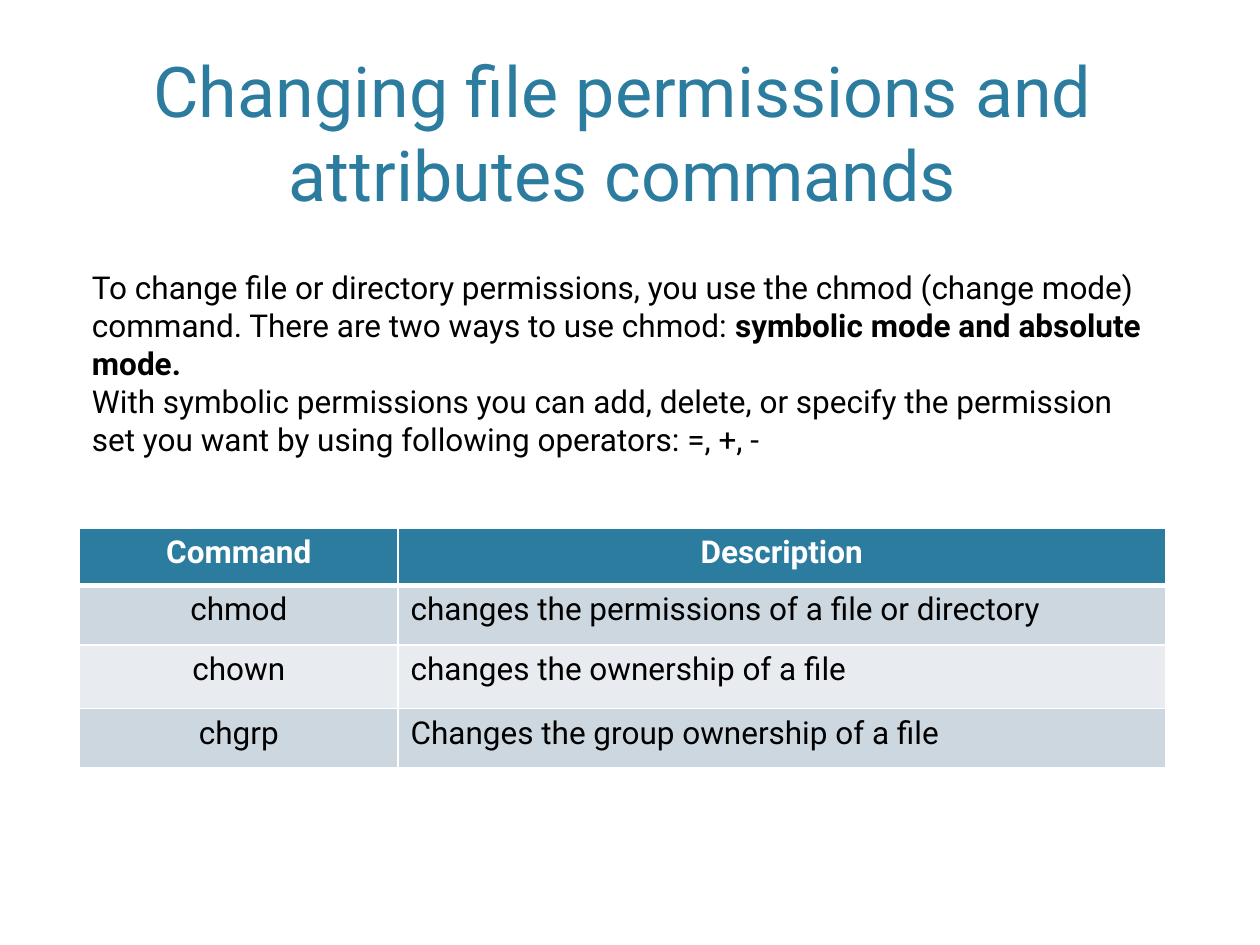
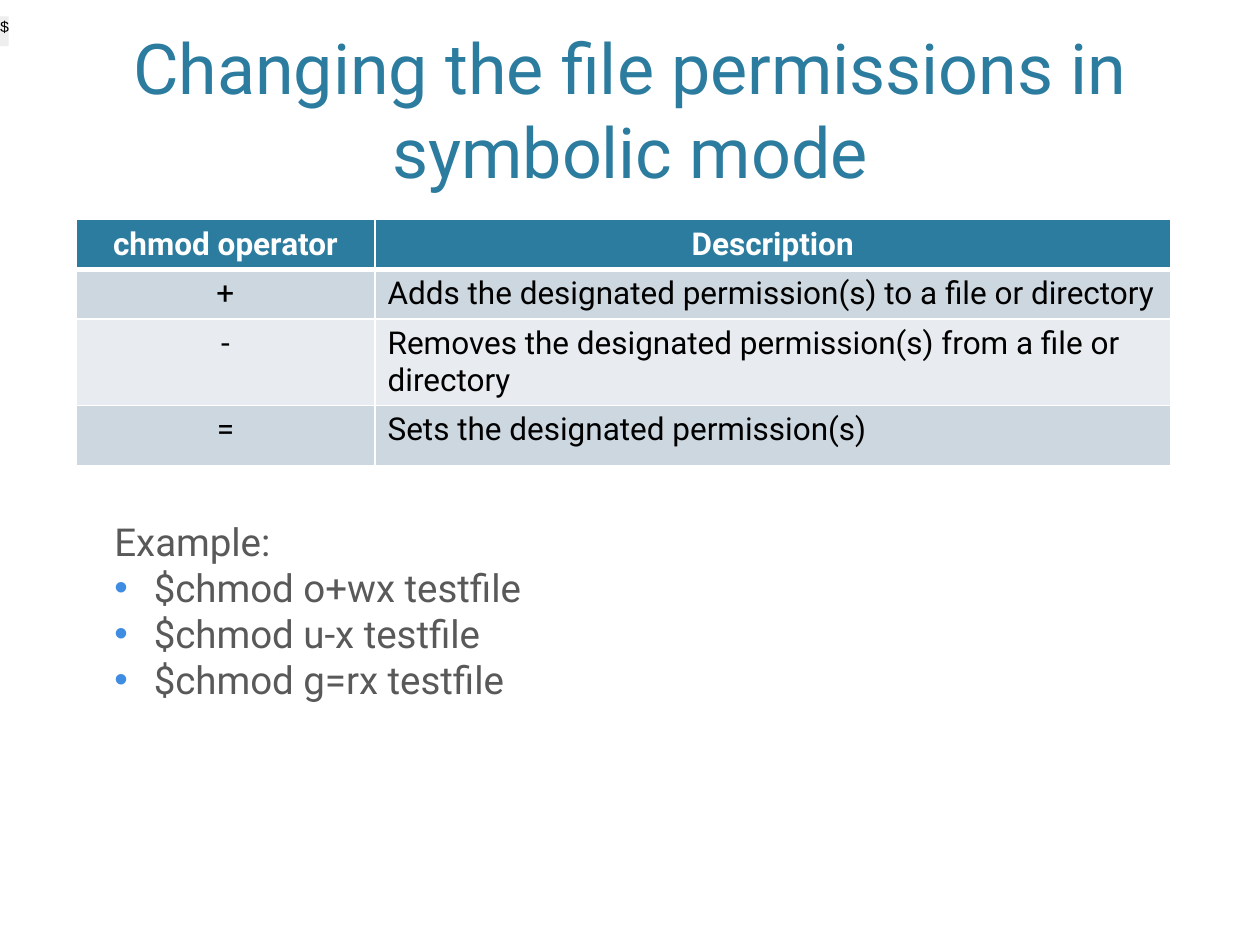
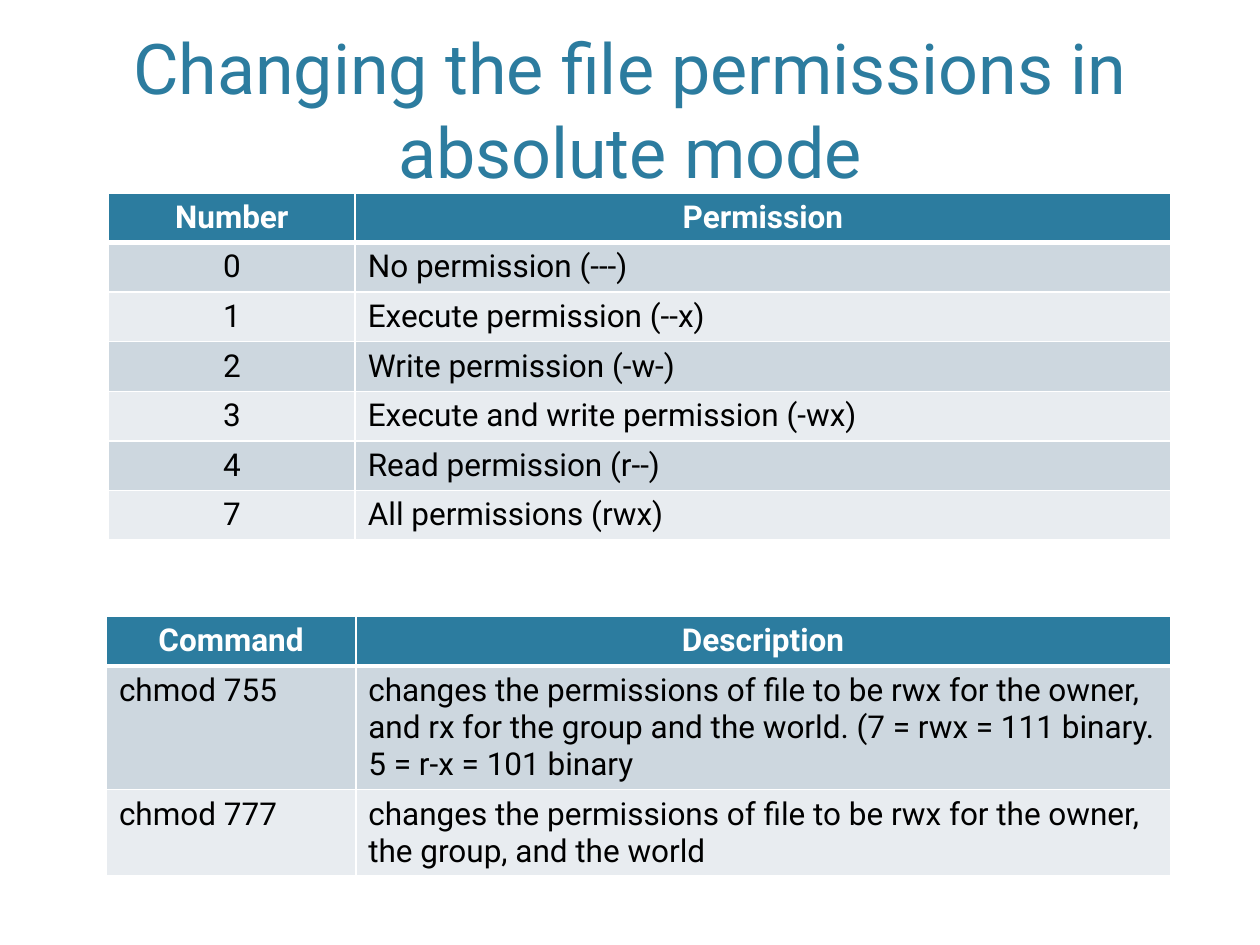
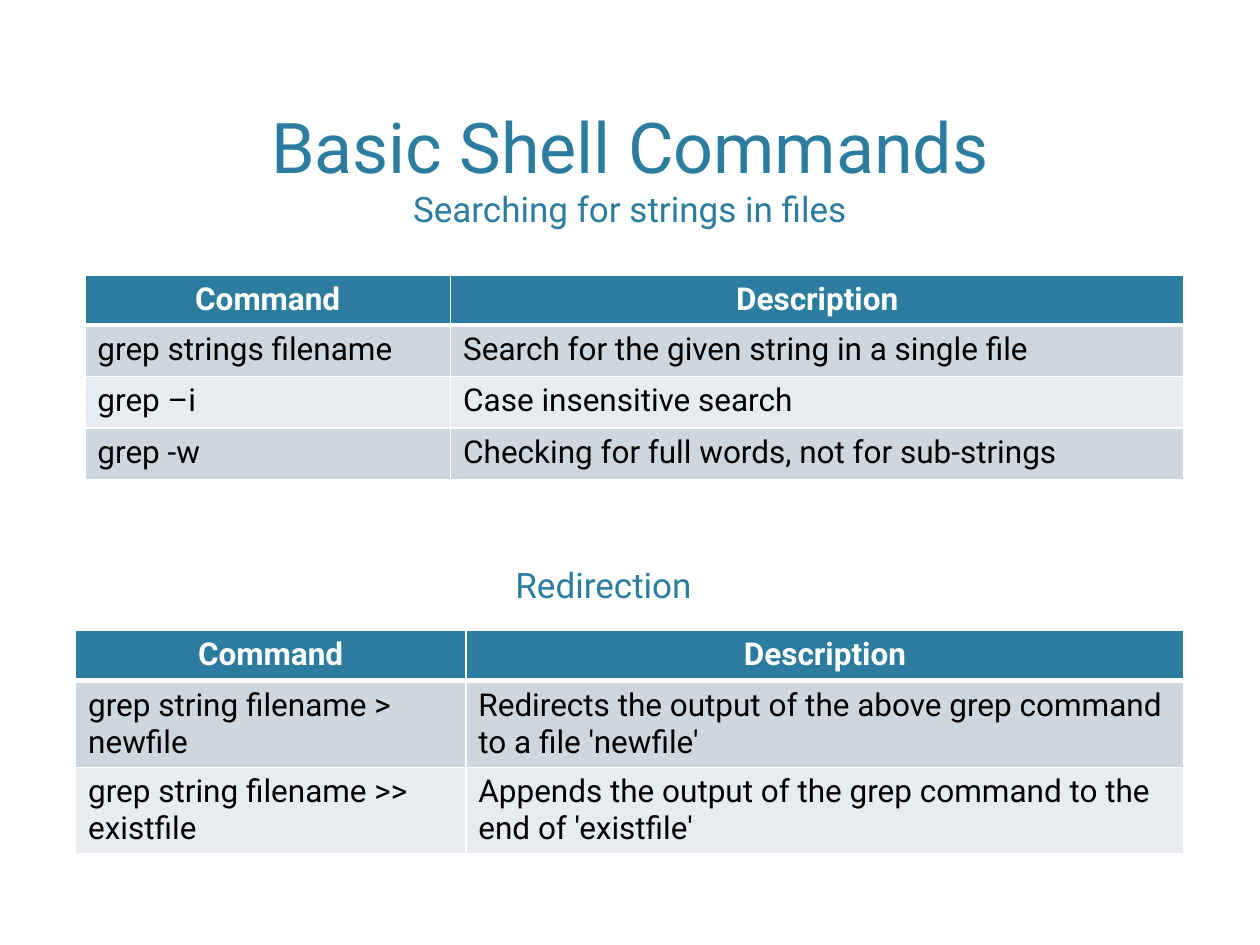
"""Build four slides on changing file permissions and basic shell commands."""
import pptx
import pptx.util
import pptx.dml.color
import pptx.enum.shapes
import pptx.enum.text
import pptx.oxml
import pptx.oxml.ns

Pt = pptx.util.Pt
RGBColor = pptx.dml.color.RGBColor
ALIGN = pptx.enum.text.PP_ALIGN
ANCHOR = pptx.enum.text.MSO_ANCHOR
AUTO_SIZE = pptx.enum.text.MSO_AUTO_SIZE

TEAL = RGBColor(0x2C, 0x7C, 0x9F)
WHITE = RGBColor(0xFF, 0xFF, 0xFF)
BLACK = RGBColor(0, 0, 0)
GREY = RGBColor(0x59, 0x59, 0x59)
BLUE = RGBColor(0x3F, 0x8D, 0xE2)
PROMPT_FILL = RGBColor(0xEE, 0xEE, 0xEE)
BANDS = (RGBColor(0xCD, 0xD7, 0xDF), RGBColor(0xE8, 0xEC, 0xF0))
FONT = "Roboto"
TITLE_SIZE, SUBTITLE_SIZE, EXAMPLE_SIZE, TEXT_SIZE = 40, 20, 22, 18
TITLE_BOX = (633.6, 105.1)
BULLET_INDENT = 22.5

SLIDES = [
    {
        "title": ["Changing file permissions and attributes commands"],
        "title_at": (38.9, 21.6),
        "tables": [{
            "at": (45.5, 302), "columns": (182, 438.5), "heights": (32.5, 34, 36.5, 34),
            "centred": True,
            "rows": [
                ("Command", "Description"),
                ("chmod", "changes the permissions of a file or directory"),
                ("chown", "changes the ownership of a file"),
                ("chgrp", "Changes the group ownership of a file"),
            ],
        }],
    },
    {
        "title": ["Changing the file permissions in symbolic mode"],
        "title_at": (43.2, 8.6),
        "tables": [{
            "at": (43.3, 125.5), "columns": (171, 454.5), "heights": (28, 28, 49.5, 34.5),
            "centred": True,
            "rows": [
                ("chmod operator", "Description"),
                ("+", "Adds the designated permission(s) to a file or directory"),
                ("-", "Removes the designated permission(s) from a file or directory"),
                ("=", "Sets the designated permission(s)"),
            ],
        }],
    },
    {
        "title": ["Changing the file permissions in absolute mode"],
        "title_at": (43.2, 8.6),
        "tables": [
            {
                "at": (60.8, 352.3), "columns": (142.5, 465.5), "heights": (28, 70, 49),
                "centred": False,
                "rows": [
                    ("Command", "Description"),
                    ("chmod 755", "changes the permissions of file to be rwx for the owner, and rx "
                                  "for the group and the world. (7 = rwx = 111 binary. "
                                  "5 = r-x = 101 binary"),
                    ("chmod 777", "changes the permissions of file to be rwx for the owner, "
                                  "the group, and the world"),
                ],
            },
            {
                "at": (62, 110.2), "columns": (141, 466), "heights": (28,) * 7,
                "centred": True,
                "rows": [
                    ("Number", "Permission"),
                    ("0", "No permission (---)"),
                    ("1", "Execute permission (--x)"),
                    ("2", "Write permission (-w-)"),
                    ("3", "Execute and write permission (-wx)"),
                    ("4", "Read permission (r--)"),
                    ("7", "All permissions (rwx)"),
                ],
            },
        ],
    },
    {
        "title": ["Basic Shell Commands", "Searching for strings in files"],
        "title_at": (43.2, 29.5),
        "tables": [
            {
                "at": (48.5, 157.3), "columns": (209, 419), "heights": (28, 29.5, 29.5, 29.5),
                "centred": False,
                "rows": [
                    ("Command", "Description"),
                    ("grep strings filename", "Search for the given string in a single file"),
                    ("grep \u2013i", "Case insensitive search"),
                    ("grep -w", "Checking for full words, not for sub-strings"),
                ],
            },
            {
                "at": (43.2, 360), "columns": (223, 410.5), "heights": (29, 49.5, 49),
                "centred": False,
                "rows": [
                    ("Command", "Description"),
                    ("grep string filename > newfile",
                     "Redirects the output of the above grep command to a file 'newfile'"),
                    ("grep string filename >> existfile",
                     "Appends the output of the grep command to the end of 'existfile'"),
                ],
            },
        ],
    },
]

CHMOD_MODES = [
    [("To change file or directory permissions, you use the chmod (change mode) command. "
      "There are two ways to use chmod: ", False),
     ("symbolic mode and absolute mode.", True)],
    [("With symbolic permissions you can add, delete, or specify the permission set you want "
      "by using following operators: =, +, -", False)],
]
EXAMPLES = ["Example:", "$chmod o+wx testfile", "$chmod u-x testfile", "$chmod g=rx testfile"]


def style(run, size, color, bold=False, font=FONT):
    run.font.name = font
    run.font.size = Pt(size)
    run.font.color.rgb = color
    run.font.bold = bold


def add_title(slide, lines, at):
    title = slide.shapes.title
    title.left, title.top, title.width, title.height = map(Pt, at + TITLE_BOX)
    frame = title.text_frame
    frame.text = "\v".join(lines)
    frame.word_wrap = True
    frame.auto_size = AUTO_SIZE.NONE
    frame.vertical_anchor = ANCHOR.BOTTOM
    frame.paragraphs[0].alignment = ALIGN.CENTER
    for run, size in zip(frame.paragraphs[0].runs, (TITLE_SIZE, SUBTITLE_SIZE)):
        style(run, size, TEAL)


def add_borders(cell, is_header, is_below_header):
    widths = {"L": 1, "R": 1, "T": 3 if is_below_header else 1, "B": 3 if is_header else 1}
    properties = cell._tc.get_or_add_tcPr()
    for side, width in widths.items():
        properties.append(pptx.oxml.parse_xml(
            f'<a:ln{side} {pptx.oxml.ns.nsdecls("a")} w="{Pt(width)}">'
            f'<a:solidFill><a:srgbClr val="{WHITE}"/></a:solidFill></a:ln{side}>'))


def add_command_table(slide, at, columns, heights, centred, rows):
    table = slide.shapes.add_table(len(rows), len(columns), *map(Pt, at),
                                   Pt(sum(columns)), Pt(sum(heights))).table
    for column, width in zip(table.columns, columns):
        column.width = Pt(width)
    for index, (height, row) in enumerate(zip(heights, rows)):
        table.rows[index].height = Pt(height)
        is_header = index == 0
        for position, words in enumerate(row):
            cell = table.cell(index, position)
            add_borders(cell, is_header, index == 1)
            cell.fill.solid()
            cell.fill.fore_color.rgb = TEAL if is_header else BANDS[(index - 1) % 2]
            cell.text_frame.text = words
            paragraph = cell.text_frame.paragraphs[0]
            if is_header or (centred and position == 0):
                paragraph.alignment = ALIGN.CENTER
            style(paragraph.runs[0], TEXT_SIZE, WHITE if is_header else BLACK, is_header)


def add_text(slide, box, paragraphs, size, color, wrap=True):
    frame = slide.shapes.add_textbox(*map(Pt, box)).text_frame
    frame.word_wrap = wrap
    frame.auto_size = AUTO_SIZE.SHAPE_TO_FIT_TEXT
    for index, pieces in enumerate(paragraphs):
        paragraph = frame.add_paragraph() if index else frame.paragraphs[0]
        for words, bold in pieces:
            run = paragraph.add_run()
            run.text = words
            style(run, size, color, bold)
    return frame


def add_bullet(paragraph):
    properties = paragraph._p.get_or_add_pPr()
    properties.set("marL", str(Pt(BULLET_INDENT)))
    properties.set("indent", str(-Pt(BULLET_INDENT)))
    for tag in (f'buClr {pptx.oxml.ns.nsdecls("a")}><a:srgbClr val="{BLUE}"/></a:buClr',
                f'buFont {pptx.oxml.ns.nsdecls("a")} typeface="Arial"/',
                f'buChar {pptx.oxml.ns.nsdecls("a")} char="\u2022"/'):
        properties.append(pptx.oxml.parse_xml(f"<a:{tag}>"))


def add_prompt(slide):
    prompt = slide.shapes.add_shape(pptx.enum.shapes.MSO_SHAPE.RECTANGLE,
                                    Pt(0), Pt(9.4), Pt(5), Pt(17))
    prompt.shadow.inherit = False
    prompt.fill.solid()
    prompt.fill.fore_color.rgb = PROMPT_FILL
    prompt.line.fill.background()
    frame = prompt.text_frame
    frame.text = "$"
    frame.margin_left = frame.margin_top = frame.margin_right = Pt(0)
    frame.margin_bottom = Pt(6)
    frame.word_wrap = False
    frame.auto_size = AUTO_SIZE.SHAPE_TO_FIT_TEXT
    frame.vertical_anchor = ANCHOR.MIDDLE
    frame.paragraphs[0].alignment = ALIGN.LEFT
    style(frame.paragraphs[0].runs[0], 9, BLACK, font="Courier New")


deck = pptx.Presentation()
deck.slide_width, deck.slide_height = Pt(720), Pt(540)
for content in SLIDES:
    slide = deck.slides.add_slide(deck.slide_layouts[5])
    add_title(slide, content["title"], content["title_at"])
    for table in content["tables"]:
        add_command_table(slide, **table)

attributes, symbolic, absolute, searching = deck.slides
add_text(attributes, (45.5, 149.8, 620.5, 116.6), CHMOD_MODES, TEXT_SIZE, BLACK)
examples = add_text(symbolic, (58.3, 292.3, 604, 113.8),
                    [[(line, False)] for line in EXAMPLES], EXAMPLE_SIZE, GREY)
for paragraph in examples.paragraphs[1:]:
    add_bullet(paragraph)
add_prompt(symbolic)
redirection = add_text(searching, (286.6, 318.2, 116.6, 31.7), [[("Redirection", False)]],
                       SUBTITLE_SIZE, TEAL, wrap=False)
redirection.paragraphs[0].alignment = ALIGN.CENTER
deck.save("out.pptx")
